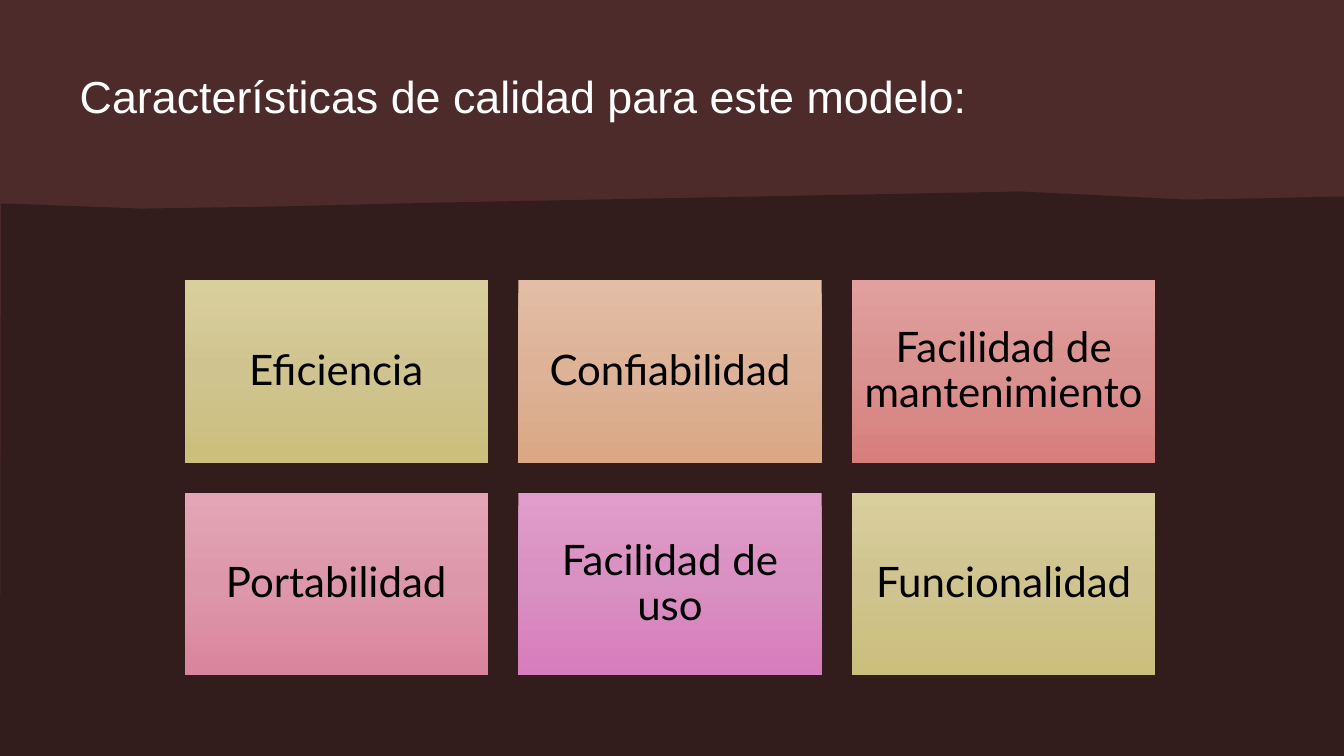
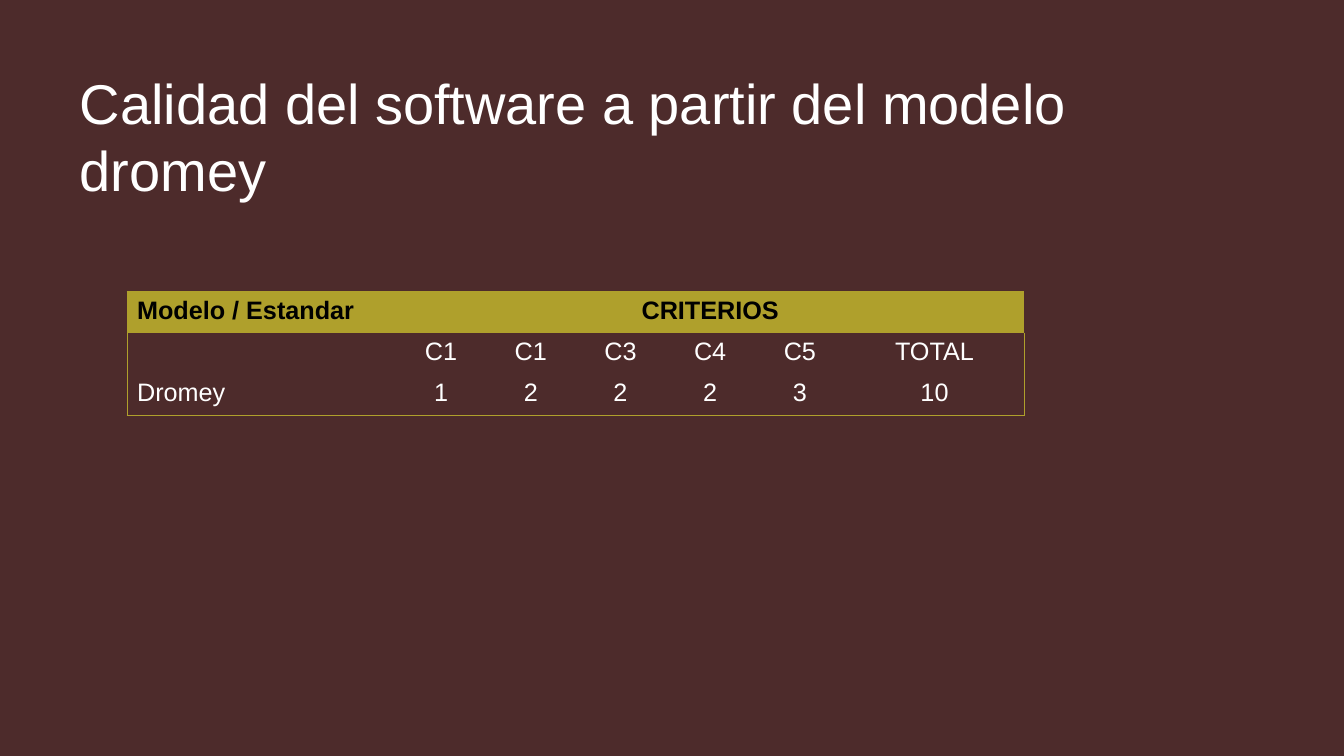
from copy import deepcopy
from dataclasses import dataclass

from lxml import etree
from pptx import Presentation
from pptx.dml.color import RGBColor
from pptx.enum.shapes import MSO_SHAPE
from pptx.enum.text import MSO_ANCHOR, MSO_AUTO_SIZE, PP_ALIGN
from pptx.oxml.ns import qn
from pptx.presentation import Presentation as Deck
from pptx.slide import Slide
from pptx.table import _Cell
from pptx.text.text import TextFrame
from pptx.util import Inches, Pt

RECT = MSO_SHAPE.RECTANGLE
TOP, MIDDLE = MSO_ANCHOR.TOP, MSO_ANCHOR.MIDDLE
LEFT, CENTER = PP_ALIGN.LEFT, PP_ALIGN.CENTER
NO_AUTOFIT = MSO_AUTO_SIZE.NONE
TITLE_ONLY = 5
PLAIN_TABLE_STYLE = "{2D5ABB26-0587-4C30-8999-92F81FD0307C}"


@dataclass(frozen=True)
class Theme:
    panel: str = "4D2B2B"
    dark: str = "321C1C"
    accent: str = "AFA02C"
    light_text: str = "FFFFFF"
    dark_text: str = "000000"
    font: str = "Arial"
    card_font: str = "Lato"
    small_title: int = 32
    title: int = 40
    card: int = 30
    table: int = 18
    border: float = 0.75


@dataclass(frozen=True)
class Card:
    text: str
    gradient: tuple[str, str, str]


THEME = Theme()

OLIVE = ("D9CF9D", "CFC490", "CCBE7B")
CARDS = [
    Card("Eficiencia", OLIVE),
    Card("Confiabilidad", ("E3BDA5", "DDB297", "DBA784")),
    Card("Facilidad de mantenimiento", ("E19F9D", "D99290", "D77E7C")),
    Card("Portabilidad", ("E3A5B7", "DD97AB", "DB849E")),
    Card("Facilidad de uso", ("E19DCC", "D990C2", "D77CBC")),
    Card("Funcionalidad", OLIVE),
]
CARD_COLUMNS = 3
CARD_LEFT, CARD_TOP = 1.83, 2.78
CARD_WIDTH, CARD_HEIGHT = 3.01, 1.81
CARD_GAP = 0.3

WAVE = [
    (10.12, 1.9), (11.77, 1.98), (12.43, 1.97), (13.23, 1.95), (13.33, 1.95),
    (13.33, 7.5), (0, 7.5), (0.01, 2.02), (0.08, 2.02), (1.4, 2.07),
    (2.72, 2.05), (3.54, 2.03), (4.36, 2.01),
]

ROWS = [
    ["Modelo / Estandar", "CRITERIOS", "", "", "", "", ""],
    ["", "C1", "C1", "C3", "C4", "C5", "TOTAL"],
    ["Dromey", "1", "2", "2", "2", "3", "10"],
]
COLUMN_WIDTHS = [2.67] + [0.89] * 5 + [1.78]
ROW_HEIGHT = 0.41


def rgb(color: str) -> RGBColor:
    return RGBColor.from_string(color)


def set_text(tf: TextFrame, text: str, font: str, size: int, color: str,
             align: PP_ALIGN = LEFT, bold: bool = False) -> None:
    tf.text = text
    for p in tf.paragraphs:
        p.alignment = align
        for r in p.runs:
            r.font.name = font
            r.font.size = Pt(size)
            r.font.bold = bold
            r.font.color.rgb = rgb(color)


def set_margins(tf: TextFrame, margin: float) -> None:
    tf.margin_left = tf.margin_right = Inches(margin)
    tf.margin_top = tf.margin_bottom = Inches(margin)


def add_titled_slide(prs: Deck, title: str, size: int, height: float) -> Slide:
    slide = prs.slides.add_slide(prs.slide_layouts[TITLE_ONLY])
    sp = slide.shapes.title
    sp.left, sp.top = Inches(0.79), Inches(0.68)
    sp.width, sp.height = Inches(11.73), Inches(height)
    tf = sp.text_frame
    set_text(tf, title, THEME.font, size, THEME.light_text)
    set_margins(tf, 0)
    tf.word_wrap = True
    tf.auto_size = NO_AUTOFIT
    tf.vertical_anchor = TOP
    return slide


def add_wave(slide: Slide) -> None:
    """Draw the dark area with the uneven upper edge."""
    start, *rest = [(Inches(x), Inches(y)) for x, y in WAVE]
    builder = slide.shapes.build_freeform(*start)
    builder.add_line_segments(rest, close=True)
    sp = builder.convert_to_shape()
    sp.shadow.inherit = False
    sp.fill.solid()
    sp.fill.fore_color.rgb = rgb(THEME.dark)
    sp.line.fill.background()


def add_card(slide: Slide, card: Card, left: float, top: float) -> None:
    sp = slide.shapes.add_shape(RECT, Inches(left), Inches(top),
                                Inches(CARD_WIDTH), Inches(CARD_HEIGHT))
    sp.shadow.inherit = False
    sp.line.fill.background()
    sp.fill.gradient()
    sp.fill.gradient_angle = 270
    first = sp.fill.gradient_stops[0]._gs
    first.addnext(deepcopy(first))
    for i, (stop, color) in enumerate(zip(sp.fill.gradient_stops, card.gradient)):
        stop.position = i / 2
        stop.color.rgb = rgb(color)
    tf = sp.text_frame
    set_text(tf, card.text, THEME.card_font, THEME.card, THEME.dark_text, CENTER)
    set_margins(tf, 0.12)
    tf.word_wrap = True
    tf.vertical_anchor = MIDDLE
    tf.paragraphs[0].line_spacing = 0.9


def set_borders(cell: _Cell, sides: list[str]) -> None:
    """Outline the given sides, listed in the order L, R, T, B."""
    tc_pr = cell._tc.get_or_add_tcPr()
    for i, side in enumerate(sides):
        ln = etree.Element(qn(f"a:ln{side}"), w=str(Pt(THEME.border)))
        fill = etree.SubElement(ln, qn("a:solidFill"))
        etree.SubElement(fill, qn("a:srgbClr"), val=THEME.accent)
        tc_pr.insert(i, ln)


def add_criteria_table(slide: Slide) -> None:
    last_row, last_col = len(ROWS) - 1, len(COLUMN_WIDTHS) - 1
    frame = slide.shapes.add_table(
        len(ROWS), len(COLUMN_WIDTHS), Inches(1.26), Inches(2.89),
        Inches(sum(COLUMN_WIDTHS)), Inches(ROW_HEIGHT * len(ROWS)))
    table = frame.table
    table.first_row = table.horz_banding = False
    table._tbl.tblPr.find(qn("a:tableStyleId")).text = PLAIN_TABLE_STYLE
    for column, width in zip(table.columns, COLUMN_WIDTHS):
        column.width = Inches(width)
    for i, texts in enumerate(ROWS):
        table.rows[i].height = Inches(ROW_HEIGHT)
        header = i == 0
        for j, text in enumerate(texts):
            cell = table.cell(i, j)
            set_text(cell.text_frame, text, THEME.font, THEME.table,
                     THEME.dark_text if header else THEME.light_text,
                     CENTER if j else LEFT, header)
            if header:
                cell.fill.solid()
                cell.fill.fore_color.rgb = rgb(THEME.accent)
            else:
                cell.fill.background()
            edges = {"L": j == 0, "R": j == last_col, "T": header, "B": i == last_row}
            set_borders(cell, [side for side, outer in edges.items() if outer])
    table.cell(0, 1).merge(table.cell(0, last_col))


def build_characteristics(prs: Deck) -> None:
    slide = add_titled_slide(prs, "Características de calidad para este modelo:",
                             THEME.small_title, 0.75)
    add_wave(slide)
    for i, card in enumerate(CARDS):
        row, col = divmod(i, CARD_COLUMNS)
        add_card(slide, card, CARD_LEFT + col * (CARD_WIDTH + CARD_GAP),
                 CARD_TOP + row * (CARD_HEIGHT + CARD_GAP))


def build_evaluation(prs: Deck) -> None:
    slide = add_titled_slide(prs, "Calidad del software a partir del modelo dromey",
                             THEME.title, 1.62)
    add_criteria_table(slide)


def main() -> None:
    prs = Presentation()
    prs.slide_width, prs.slide_height = Inches(13.33), Inches(7.5)
    background = prs.slide_master.background.fill
    background.solid()
    background.fore_color.rgb = rgb(THEME.panel)
    build_characteristics(prs)
    build_evaluation(prs)
    prs.save("out.pptx")


if __name__ == "__main__":
    main()
